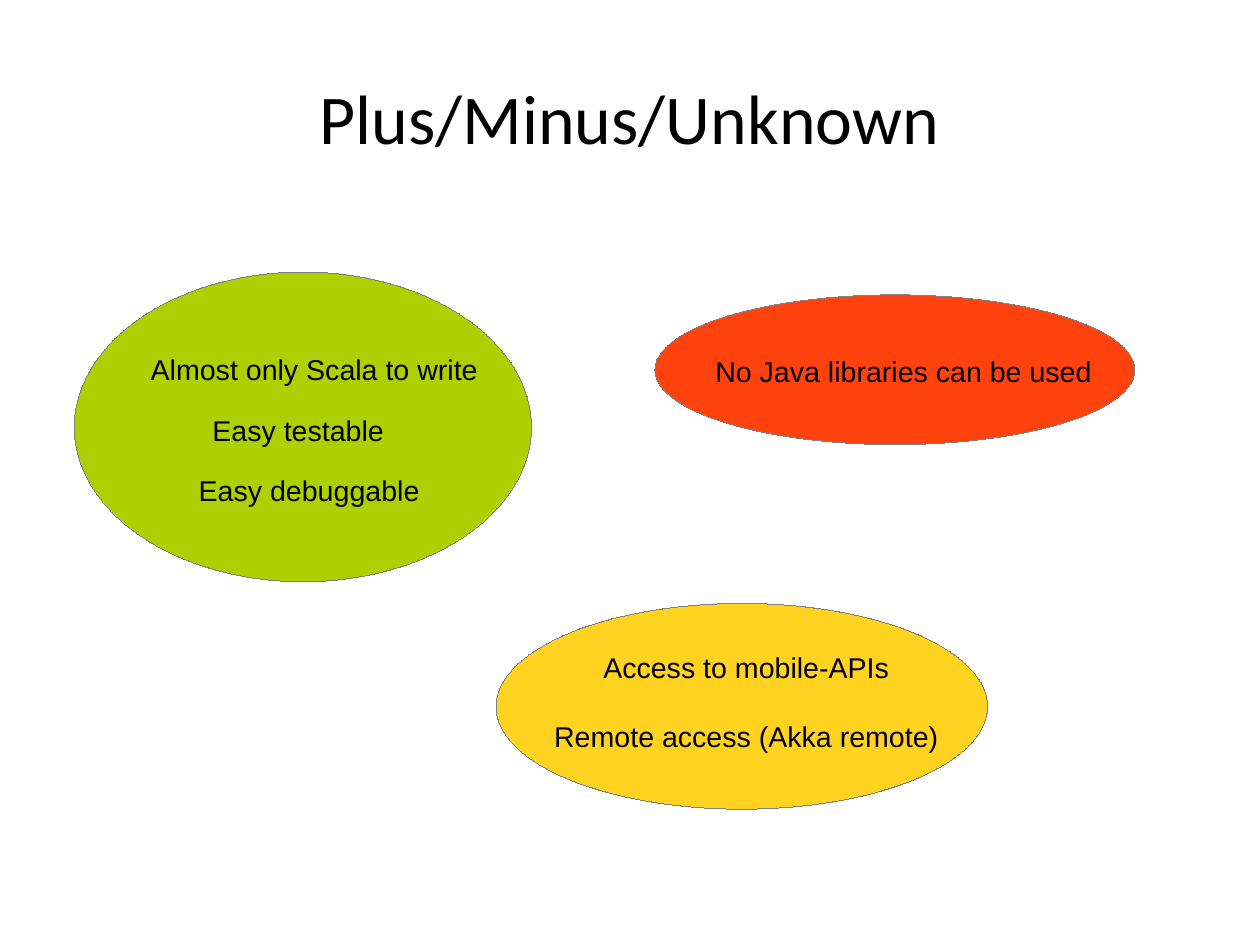
from pptx import Presentation
from pptx.dml.color import RGBColor
from pptx.enum import shapes, text
from pptx.util import Inches, Pt


def color(hex_value):
    return RGBColor.from_string(hex_value)


def set_font(paragraph, name, size):
    paragraph.font.name = name
    paragraph.font.size = Pt(size)
    paragraph.font.color.rgb = color("000000")


# Slide of 28 by 21 centimetres
presentation = Presentation()
presentation.slide_width = Inches(28 / 2.54)
presentation.slide_height = Inches(21 / 2.54)
slide = presentation.slides.add_slide(presentation.slide_layouts[5])

# Title
title = slide.shapes.title
title.left, title.top = Inches(0.55), Inches(0.33)
title.width, title.height = Inches(9.92), Inches(1.38)
frame = title.text_frame
frame.margin_left = frame.margin_right = frame.margin_top = frame.margin_bottom = 0
frame.vertical_anchor = text.MSO_ANCHOR.MIDDLE
frame.text = "Plus/Minus/Unknown"
frame.paragraphs[0].alignment = text.PP_ALIGN.CENTER
set_font(frame.paragraphs[0], "Calibri", 44)

# Ellipses with hairline outlines: unknown, minus, plus
ellipses = [
    (4.34, 5.28, 4.3, 1.8, "FFD320"),
    (5.73, 2.58, 4.2, 1.31, "FF420E"),
    (0.65, 2.38, 4, 2.71, "AECF00"),
]
for left, top, width, height, fill in ellipses:
    ellipse = slide.shapes.add_shape(
        shapes.MSO_SHAPE.OVAL, Inches(left), Inches(top), Inches(width), Inches(height))
    ellipse.shadow.inherit = False
    ellipse.fill.solid()
    ellipse.fill.fore_color.rgb = color(fill)
    ellipse.line.color.rgb = color("808080")
    ellipse.line.width = Pt(0.01)

# Statements on the ellipses
statements = [
    (1.22, 3.03, 3.13, "Almost only Scala to write"),
    (1.76, 3.56, 1.76, "Easy testable"),
    (1.64, 4.09, 2.2, "Easy debuggable"),
    (6.16, 3.05, 3.56, "No Java libraries can be used"),
    (4.75, 6.24, 3.63, "Remote access (Akka remote)"),
    (5.18, 5.64, 2.77, "Access to mobile-APIs"),
]
for left, top, width, statement in statements:
    box = slide.shapes.add_textbox(Inches(left), Inches(top), Inches(width), Inches(0.38))
    box.text_frame.word_wrap = True
    box.text_frame.text = statement
    set_font(box.text_frame.paragraphs[0], "Arial", 18)

presentation.save("out.pptx")
